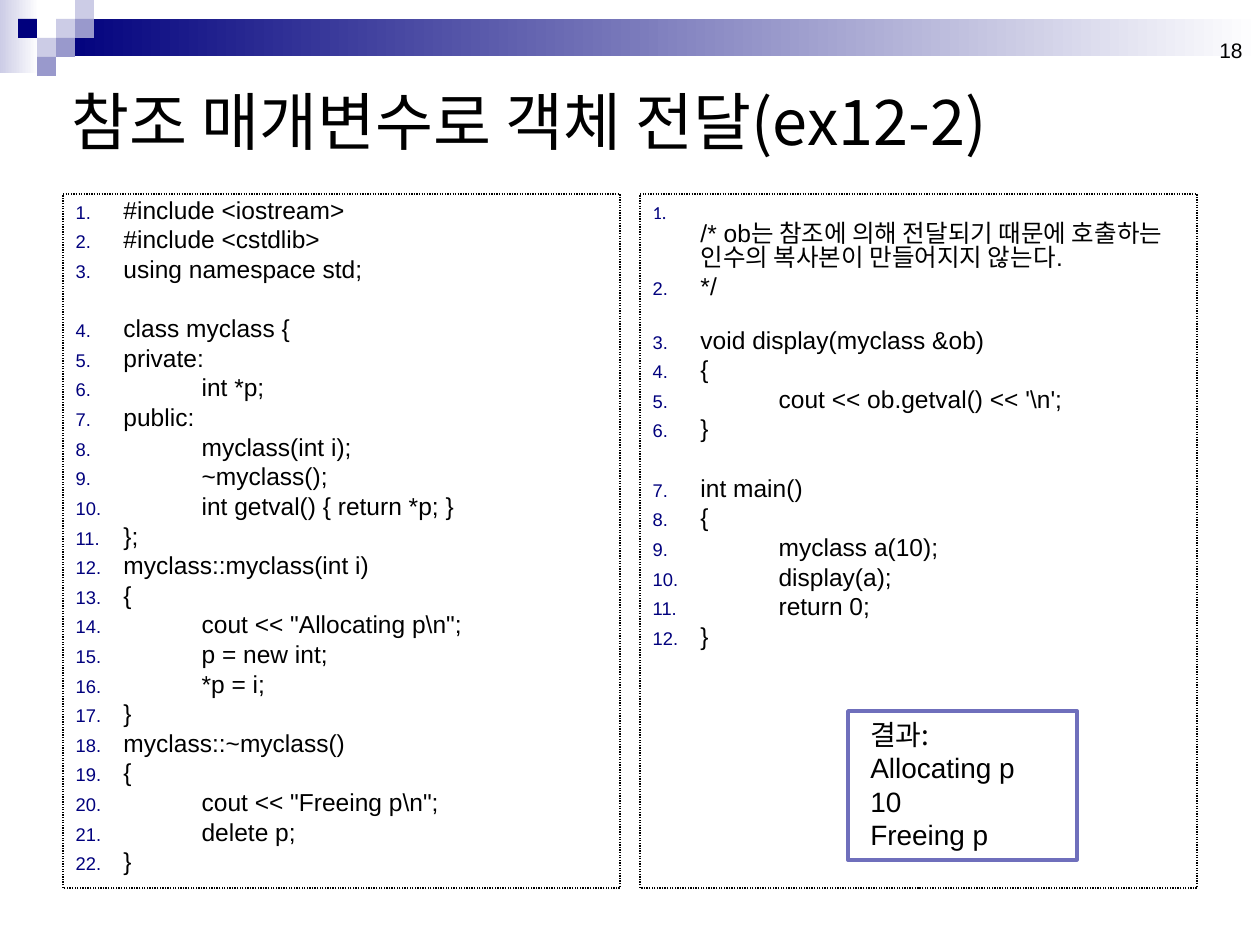
from lxml.etree import SubElement
from pptx import Presentation
from pptx.dml.color import RGBColor
from pptx.enum.dml import MSO_LINE
from pptx.enum.shapes import MSO_SHAPE
from pptx.enum.text import MSO_ANCHOR, MSO_AUTO_SIZE, PP_ALIGN
from pptx.oxml.ns import qn
from pptx.util import Inches, Pt

PX = 914400 / 126
BLACK = RGBColor(0x00, 0x00, 0x00)
WHITE = RGBColor(0xFF, 0xFF, 0xFF)
NAVY = RGBColor(0x00, 0x00, 0x7D)
LAVENDER = RGBColor(0xCC, 0xCC, 0xE6)
PERIWINKLE = RGBColor(0x99, 0x99, 0xCC)
FRAME_BLUE = RGBColor(0x6F, 0x6F, 0xBC)
LATIN = "Arial"
KOREAN = "Noto Sans CJK KR"

CLASS_CODE = r"""#include <iostream>
#include <cstdlib>
using namespace std;
class myclass {
private:
	int *p;
public:
	myclass(int i);
	~myclass();
	int getval() { return *p; }
};
myclass::myclass(int i)
{
	cout << "Allocating p\n";
	p = new int;
	*p = i;
}
myclass::~myclass()
{
	cout << "Freeing p\n";
	delete p;
}""".split("\n")

MAIN_CODE = [
    "\v/* ob는 참조에 의해 전달되기 때문에 호출하는 인수의 복사본이 만들어지지 않는다."
] + r"""*/
void display(myclass &ob)
{
	cout << ob.getval() << '\n';
}
int main()
{
	myclass a(10);
	display(a);
	return 0;
}""".split("\n")


def emu(*lengths):
    """Turn px lengths into EMU."""
    return [round(length * PX) for length in lengths]


def place(part, box):
    """Move a placeholder to a px box."""
    part.left, part.top, part.width, part.height = emu(*box)


def write(frame, lines, size, fonts=(LATIN,), align=PP_ALIGN.LEFT,
          anchor=MSO_ANCHOR.TOP, spacing=1.0, before=0, gaps=None):
    """Fill a frame with one paragraph per line, the last font serving the rest."""
    frame.word_wrap = True
    frame.auto_size = MSO_AUTO_SIZE.NONE
    frame.vertical_anchor = anchor
    for index, line in enumerate(lines):
        paragraph = frame.add_paragraph() if index else frame.paragraphs[0]
        paragraph.text = line
        paragraph.alignment = align
        paragraph.line_spacing = spacing
        paragraph.space_before = Pt((gaps or {}).get(index, before))
        for line_break in paragraph._p.iter(qn("a:br")):
            SubElement(line_break, qn("a:rPr"), sz=str(size * 100))
        for run in paragraph.runs:
            run.font.size = Pt(size)
            run.font.name = fonts[min(index, len(fonts) - 1)]
            run.font.color.rgb = BLACK
            SubElement(run._r.rPr, qn("a:ea"), typeface=KOREAN)


def number(paragraph):
    """Give a code line its hanging number and tab stop."""
    indent = Inches(0.38)
    properties = paragraph._p.get_or_add_pPr()
    properties.set("marL", str(indent))
    properties.set("indent", str(-indent))
    colour = SubElement(properties, qn("a:buClr"))
    SubElement(colour, qn("a:srgbClr"), val=str(NAVY))
    SubElement(properties, qn("a:buSzPct"), val="75000")
    SubElement(properties, qn("a:buFont"), typeface=LATIN)
    SubElement(properties, qn("a:buAutoNum"), type="arabicPeriod")
    tabs = SubElement(properties, qn("a:tabLst"))
    SubElement(tabs, qn("a:tab"), pos=str(Inches(1)), algn="l")


def add_block(slide, box, *colours):
    """Add a borderless rectangle, plain or fading between two colours."""
    block = slide.shapes.add_shape(MSO_SHAPE.RECTANGLE, *emu(*box))
    block.shadow.inherit = False
    block.line.fill.background()
    if len(colours) == 1:
        block.fill.solid()
        block.fill.fore_color.rgb = colours[0]
    else:
        block.fill.gradient()
        block.fill.gradient_angle = 0
        for stop, colour, position in zip(block.fill.gradient_stops, colours, (0, 1)):
            stop.color.rgb = colour
            stop.position = position


def add_header(slide, left, top, width):
    """Draw the fading bars and the checker squares."""
    side = 19
    add_block(slide, (left, top, 39, 73), LAVENDER, WHITE)
    add_block(slide, (left + 57, top + side, width - 57, 37), NAVY, WHITE)
    checker = [(2, 1, LAVENDER), (3, 0, LAVENDER), (3, 1, PERIWINKLE),
               (1, 2, LAVENDER), (0, 1, NAVY), (2, 2, PERIWINKLE), (1, 3, PERIWINKLE)]
    for column, row, colour in checker:
        corner = (left + 18 + column * side, top + row * side)
        add_block(slide, (*corner, side, side), colour)


def add_title(slide, box, heading):
    """Set the slide title."""
    place(slide.shapes.title, box)
    write(slide.shapes.title.text_frame, [heading], 36, fonts=(KOREAN,),
          anchor=MSO_ANCHOR.MIDDLE)


def add_page_number(slide, box, page):
    """Put the page number at the right end of its box."""
    page_number = slide.shapes.add_textbox(*emu(*box))
    write(page_number.text_frame, [page], 12, align=PP_ALIGN.RIGHT,
          anchor=MSO_ANCHOR.BOTTOM)


def add_listing(listing, box, code, gaps):
    """Fill a body placeholder with numbered code in a dotted frame."""
    place(listing, box)
    listing.line.color.rgb = BLACK
    listing.line.width = Pt(0.75)
    listing.line.dash_style = MSO_LINE.ROUND_DOT
    write(listing.text_frame, code, 14, spacing=0.8, before=3.5, gaps=gaps)
    for paragraph in listing.text_frame.paragraphs:
        number(paragraph)


def add_result(slide, box, output):
    """Show the program output in a blue frame."""
    left, top, width, height = box
    result = slide.shapes.add_textbox(*emu(left + 10, top, width + 100, height))
    write(result.text_frame, output, 16, fonts=(KOREAN, LATIN))
    border = slide.shapes.add_shape(MSO_SHAPE.RECTANGLE, *emu(*box))
    border.shadow.inherit = False
    border.fill.background()
    border.line.color.rgb = FRAME_BLUE
    border.line.width = Pt(2)


def main():
    """Build the slide and save it."""
    deck = Presentation()
    deck.slide_width, deck.slide_height = emu(1260, 945)
    slide = deck.slides.add_slide(deck.slide_layouts[3])
    add_header(slide, 0, 0, 1260)
    add_page_number(slide, (961, 6, 294, 63), "18")
    add_title(slide, (59, 69, 1134, 102), "참조 매개변수로 객체 전달(ex12-2)")
    add_listing(slide.placeholders[1], (63, 194, 557, 694), CLASS_CODE, {3: 20.5})
    add_listing(slide.placeholders[2], (640, 194, 557, 694), MAIN_CODE, {2: 17, 6: 20.5})
    add_result(slide, (848, 711, 229, 149), ["결과:", "Allocating p", "10", "Freeing p"])
    deck.save("out.pptx")


if __name__ == "__main__":
    main()
